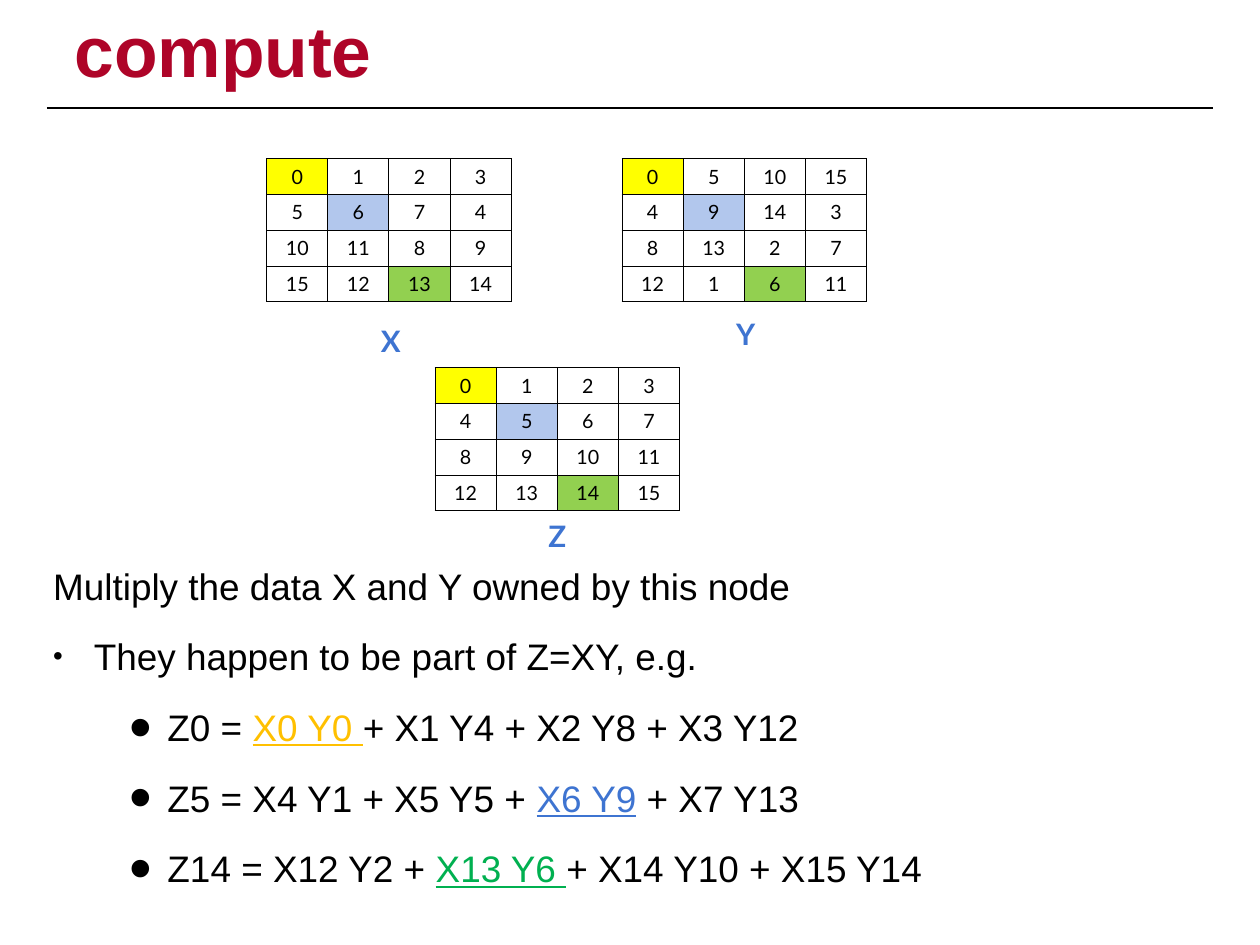
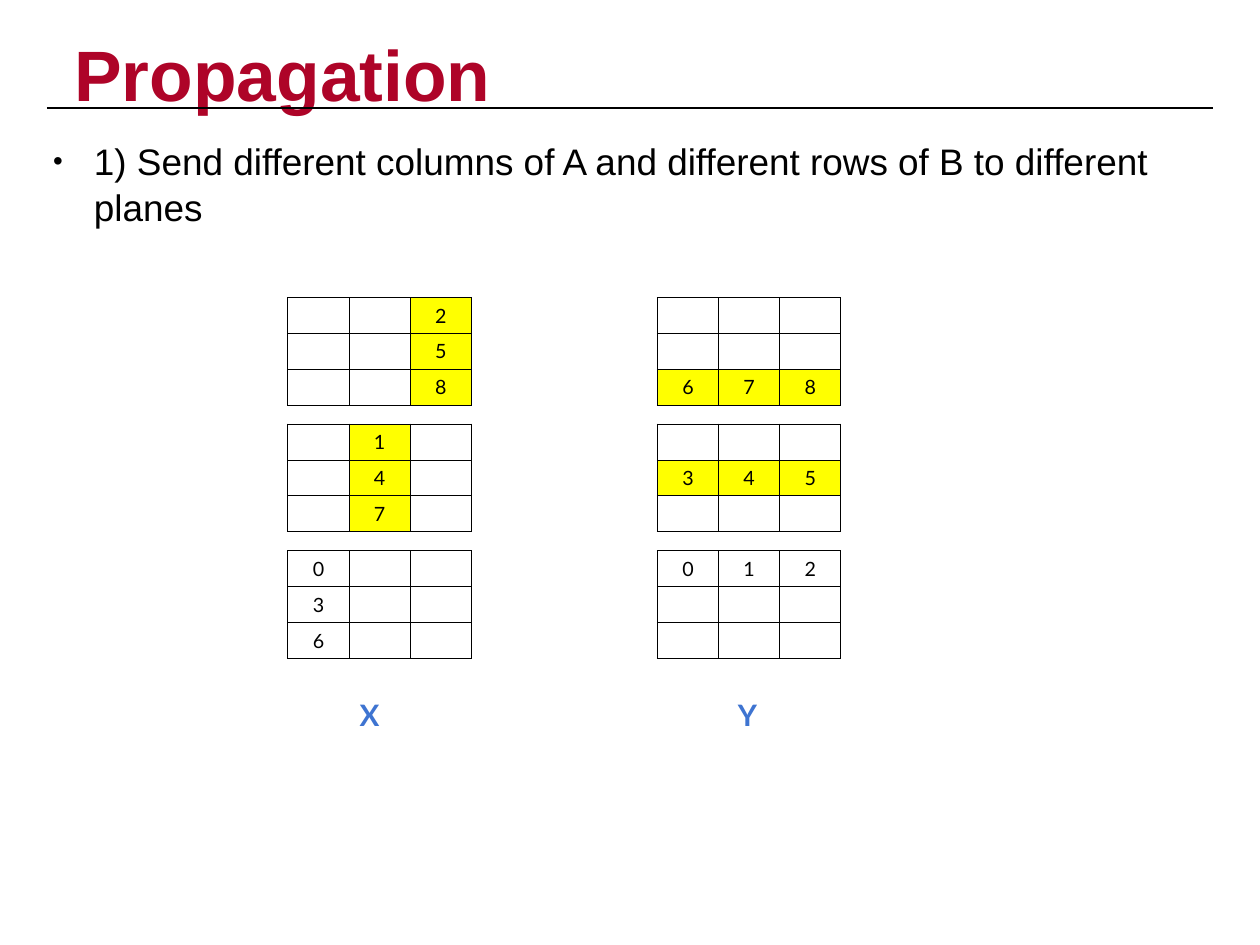
from dataclasses import dataclass, field

import pptx
import pptx.dml.color
import pptx.enum.shapes
import pptx.enum.text
import pptx.oxml
import pptx.oxml.ns
import pptx.oxml.xmlchemy
import pptx.util
from lxml import etree

RGBColor = pptx.dml.color.RGBColor
BLACK = RGBColor(0x00, 0x00, 0x00)
CRIMSON = RGBColor(0xAE, 0x04, 0x28)
BLUE = RGBColor(0x3E, 0x74, 0xD1)
AMBER = RGBColor(0xFF, 0xC0, 0x00)
GREEN = RGBColor(0x00, 0xB0, 0x50)
YELLOW = RGBColor(0xFF, 0xFF, 0x00)
PALE_BLUE = RGBColor(0xB2, 0xC7, 0xED)
LIME = RGBColor(0x92, 0xD0, 0x50)

EMU_PER_PX = 9144
COLUMN_WIDTH = 69
ROW_HEIGHT = 162 * EMU_PER_PX // 4
INSET = 6


@dataclass(frozen=True)
class Matrix:
    left: int
    top: int
    rows: list[list[str]]
    fills: dict[tuple[int, int], RGBColor] = field(default_factory=dict)


@dataclass(frozen=True)
class Label:
    text: str
    left: int
    top: int


@dataclass(frozen=True)
class Bullet:
    margin: int
    hanging: int
    percent: int
    level: int = 0


@dataclass(frozen=True)
class Item:
    pieces: list[tuple[str, RGBColor]]
    bullet: Bullet | None = None


MAIN = Bullet(46, 46, 75)
SUB = Bullet(129, 43, 175, level=2)


def px(length: int) -> pptx.util.Emu:
    return pptx.util.Emu(length * EMU_PER_PX)


def add_xml(parent, tag: str, **attributes: str):
    return etree.SubElement(parent, pptx.oxml.ns.qn(tag), attributes)


def write(paragraph, text: str, *, size: int, color: RGBColor = BLACK,
          font: str = "Arial", bold: bool = False, underline: bool = False) -> None:
    run = paragraph.add_run()
    run.text = text
    run.font.name = font
    run.font.size = pptx.util.Pt(size)
    run.font.bold = bold
    run.font.underline = underline
    run.font.color.rgb = color


def place(shape, left: int, top: int, width: int, height: int) -> None:
    shape.left, shape.top = px(left), px(top)
    shape.width, shape.height = px(width), px(height)


def prepare_frame(shape, top_inset: int = INSET):
    frame = shape.text_frame
    frame.margin_left = frame.margin_right = frame.margin_bottom = px(INSET)
    frame.margin_top = px(top_inset)
    frame.vertical_anchor = pptx.enum.text.MSO_ANCHOR.TOP
    frame.auto_size = pptx.enum.text.MSO_AUTO_SIZE.NONE
    frame.word_wrap = True
    return frame


def start_slide(deck, title: str, title_inset: int):
    slide = deck.slides.add_slide(deck.slide_layouts[1])
    rule = slide.shapes.add_connector(
        pptx.enum.shapes.MSO_CONNECTOR.STRAIGHT, px(53), px(122), px(1369), px(122))
    rule.line.color.rgb = BLACK
    rule.line.width = pptx.util.Pt(2)
    add_xml(rule.element.spPr, "a:effectLst")

    heading = slide.shapes.title
    place(heading, 78, 19, 1267, 93)
    paragraph = prepare_frame(heading, title_inset).paragraphs[0]
    paragraph.alignment = pptx.enum.text.PP_ALIGN.LEFT
    paragraph.line_spacing = 0.7
    write(paragraph, title, size=58, color=CRIMSON, bold=True)
    return slide


def format_bullet(paragraph, bullet: Bullet | None) -> None:
    properties = paragraph._p.get_or_add_pPr()
    if bullet is None:
        properties.set("marL", "0")
        properties.set("indent", "0")
        add_xml(properties, "a:buNone")
        return
    paragraph.level = bullet.level
    properties.set("marL", str(px(bullet.margin)))
    properties.set("indent", str(-px(bullet.hanging)))
    add_xml(properties, "a:buSzPct", val=str(bullet.percent * 1000))
    add_xml(properties, "a:buFont", typeface="Arial")
    add_xml(properties, "a:buChar", char="•")


def fill_body(slide, top: int, height: int, items: list[Item]) -> None:
    body = slide.placeholders[1]
    place(body, 54, top, 1314, height)
    frame = prepare_frame(body)
    for index, item in enumerate(items):
        paragraph = frame.add_paragraph() if index else frame.paragraphs[0]
        paragraph.alignment = pptx.enum.text.PP_ALIGN.LEFT
        paragraph.line_spacing = 1.04
        paragraph.space_before = pptx.util.Pt(20 if index else 0)
        format_bullet(paragraph, item.bullet)
        for text, color in item.pieces:
            write(paragraph, text, size=30, color=color, underline=color != BLACK)


def draw_borders(cell) -> None:
    properties = cell._tc.get_or_add_tcPr()
    for side in ("a:lnL", "a:lnR", "a:lnT", "a:lnB"):
        border = add_xml(properties, side, w=str(pptx.util.Pt(1)))
        add_xml(add_xml(border, "a:solidFill"), "a:srgbClr", val=str(BLACK))


def draw_matrix(slide, matrix: Matrix) -> None:
    row_count, column_count = len(matrix.rows), len(matrix.rows[0])
    table = slide.shapes.add_table(
        row_count, column_count, px(matrix.left), px(matrix.top),
        px(COLUMN_WIDTH * column_count), pptx.util.Emu(ROW_HEIGHT * row_count)).table
    table.first_row = table.horz_banding = False
    for column in table.columns:
        column.width = px(COLUMN_WIDTH)
    for r, values in enumerate(matrix.rows):
        table.rows[r].height = pptx.util.Emu(ROW_HEIGHT)
        for c, value in enumerate(values):
            cell = table.cell(r, c)
            cell.margin_top = cell.margin_bottom = px(3)
            cell.vertical_anchor = pptx.enum.text.MSO_ANCHOR.MIDDLE
            draw_borders(cell)
            if (r, c) in matrix.fills:
                cell.fill.solid()
                cell.fill.fore_color.rgb = matrix.fills[r, c]
            else:
                cell.fill.background()
            if value:
                paragraph = cell.text_frame.paragraphs[0]
                paragraph.alignment = pptx.enum.text.PP_ALIGN.CENTER
                write(paragraph, value, size=16, font="Lato")


def draw_label(slide, label: Label) -> None:
    box = slide.shapes.add_textbox(px(label.left), px(label.top), px(39), px(50))
    box.text_frame.word_wrap = False
    box.text_frame.auto_size = pptx.enum.text.MSO_AUTO_SIZE.SHAPE_TO_FIT_TEXT
    write(box.text_frame.paragraphs[0], label.text,
          size=24, color=BLUE, font="Lato", bold=True)


def draw_figure(slide, matrices: list[Matrix], labels: list[Label]) -> None:
    for matrix in matrices:
        draw_matrix(slide, matrix)
    for label in labels:
        draw_label(slide, label)


def parse_rows(*rows: str) -> list[list[str]]:
    return [row.split() for row in rows]


def column_plane(k: int, top: int) -> Matrix:
    rows = [[str(3 * r + c) if c == k else "" for c in range(3)] for r in range(3)]
    return Matrix(325, top, rows, {(r, k): YELLOW for r in range(3)} if k else {})


def row_plane(k: int, top: int) -> Matrix:
    rows = [[str(3 * r + c) if r == k else "" for c in range(3)] for r in range(3)]
    return Matrix(742, top, rows, {(k, c): YELLOW for c in range(3)} if k else {})


def build_compute(deck) -> None:
    slide = start_slide(deck, "compute", title_inset=14)
    fill_body(slide, 628, 361, [
        Item([("Multiply the data X and Y owned by this node", BLACK)]),
        Item([("They happen to be part of Z=XY, e.g.", BLACK)], MAIN),
        Item([("Z0 = ", BLACK), ("X0 Y0 ", AMBER),
              ("+ X1 Y4 + X2 Y8 + X3 Y12", BLACK)], SUB),
        Item([("Z5 = X4 Y1 + X5 Y5 + ", BLACK), ("X6 Y9", BLUE),
              (" + X7 Y13", BLACK)], SUB),
        Item([("Z14 = X12 Y2 + ", BLACK), ("X13 Y6 ", GREEN),
              ("+ X14 Y10 + X15 Y14", BLACK)], SUB),
    ])
    owned = {(0, 0): YELLOW, (1, 1): PALE_BLUE, (3, 2): LIME}
    x_rows = parse_rows("0 1 2 3", "5 6 7 4", "10 11 8 9", "15 12 13 14")
    y_rows = parse_rows("0 5 10 15", "4 9 14 3", "8 13 2 7", "12 1 6 11")
    z_rows = [[str(4 * r + c) for c in range(4)] for r in range(4)]
    draw_figure(
        slide,
        [Matrix(301, 179, x_rows, owned), Matrix(702, 179, y_rows, owned),
         Matrix(491, 415, z_rows, owned)],
        [Label("X", 420, 360), Label("Y", 821, 352), Label("Z", 609, 580)])


def build_propagation(deck) -> None:
    slide = start_slide(deck, "Propagation", title_inset=42)
    fill_body(slide, 149, 840, [
        Item([("1) Send different columns of A and different rows of B "
               "to different planes", BLACK)], MAIN),
    ])
    planes = [plane(k, 336 + 143 * (2 - k))
              for k in range(3) for plane in (column_plane, row_plane)]
    draw_figure(slide, planes, [Label("X", 396, 782), Label("Y", 823, 782)])


def main() -> None:
    deck = pptx.Presentation()
    deck.slide_width, deck.slide_height = px(1422), px(1067)
    build_compute(deck)
    build_propagation(deck)
    deck.save("out.pptx")


if __name__ == "__main__":
    main()
